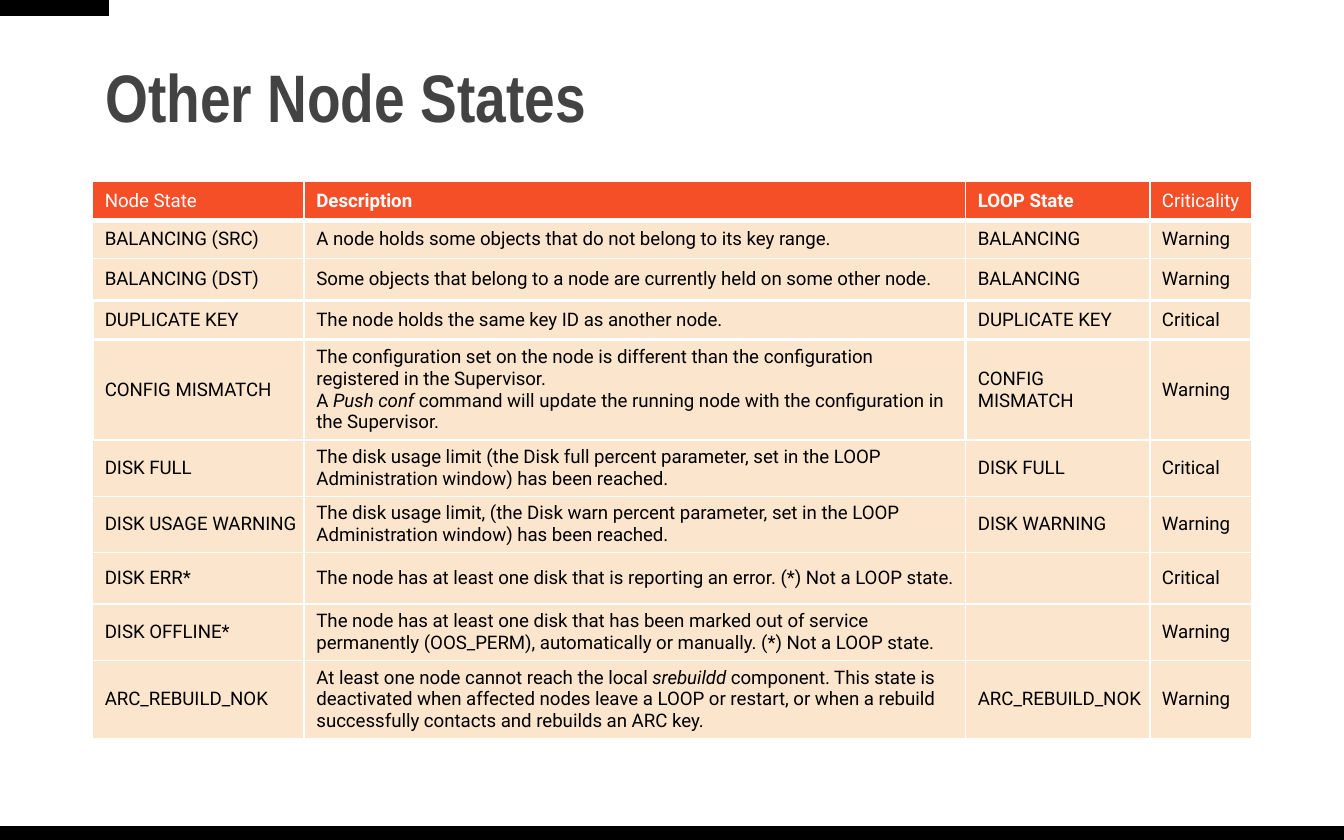
from pptx import Presentation
from pptx.dml.color import RGBColor
from pptx.enum.shapes import MSO_SHAPE
from pptx.enum.text import MSO_ANCHOR, PP_ALIGN
from pptx.oxml import parse_xml
from pptx.oxml.ns import nsdecls
from pptx.util import Cm, Pt

RECTANGLE = MSO_SHAPE.RECTANGLE
MIDDLE = MSO_ANCHOR.MIDDLE
LEFT = PP_ALIGN.LEFT

COLORS = {
    "bar": "000000",
    "title": "434343",
    "header": "F54F28",
    "header_text": "FFFFFF",
    "row": "FCE5CD",
    "row_text": "000000",
    "border": "FFFFFF",
}
COLUMN_WIDTHS = [4.0, 12.5, 3.48, 1.92]
ROW_HEIGHTS = [0.73, 0.73, 0.79, 0.74, 1.9, 1.06, 1.06, 0.97, 1.07, 1.47]
BORDERS = {
    0: {"L": 1, "R": 1, "T": 1, "B": 3},
    1: {"L": 1, "R": 1, "T": 3, "B": 1},
    2: {"L": 1, "R": 1, "T": 1, "B": 1.5},
    3: {"L": 1.5, "R": 1.5, "T": 1.5, "B": 1.5},
    4: {"L": 1.5, "R": 1.5, "T": 1.5, "B": 1.5},
    5: {"L": 1, "R": 1, "T": 1.5, "B": 1},
}
PLAIN_BORDER = {"L": 1, "R": 1, "T": 1, "B": 1}
CELL_FORMAT = {
    "margin_left": Cm(0.13),
    "margin_right": Cm(0.13),
    "margin_top": Cm(0.12),
    "margin_bottom": Cm(0.12),
    "vertical_anchor": MIDDLE,
}
BOLD_HEADINGS = ["Description", "LOOP State"]
ITALIC_MARK = "|"
STATES = [
    ["Node State", "Description", "LOOP State", "Criticality"],
    ["BALANCING (SRC)",
     "A node holds some objects that do not belong to its key range.",
     "BALANCING", "Warning"],
    ["BALANCING (DST)",
     "Some objects that belong to a node are currently held on some other node.",
     "BALANCING", "Warning"],
    ["DUPLICATE KEY", "The node holds the same key ID as another node.",
     "DUPLICATE KEY", "Critical"],
    ["CONFIG MISMATCH",
     "The configuration set on the node is different than the configuration "
     "registered in the Supervisor.\n"
     "A |Push conf |command will update the running node with the configuration "
     "in the Supervisor.",
     "CONFIG MISMATCH", "Warning"],
    ["DISK FULL",
     "The disk usage limit (the Disk full percent parameter, set in the LOOP "
     "Administration window) has been reached.",
     "DISK FULL", "Critical"],
    ["DISK USAGE WARNING",
     "The disk usage limit, (the Disk warn percent parameter, set in the LOOP "
     "Administration window) has been reached.",
     "DISK WARNING", "Warning"],
    ["DISK ERR*",
     "The node has at least one disk that is reporting an error. (*) Not a LOOP state.",
     "", "Critical"],
    ["DISK OFFLINE*",
     "The node has at least one disk that has been marked out of service permanently "
     "(OOS_PERM), automatically or manually. (*) Not a LOOP state.",
     "", "Warning"],
    ["ARC_REBUILD_NOK",
     "At least one node cannot reach the local |srebuildd| component. This state is "
     "deactivated when affected nodes leave a LOOP or restart, or when a rebuild "
     "successfully contacts and rebuilds an ARC key.",
     "ARC_REBUILD_NOK", "Warning"],
]


def add_span(para, text, color, values):
    span = para.add_run()
    span.text = text
    span.font.color.rgb = RGBColor.from_string(COLORS[color])
    for name, value in values.items():
        setattr(span.font, name, value)


def add_borders(cell, widths):
    properties = cell._tc.get_or_add_tcPr()
    for side, width in widths.items():
        properties.append(parse_xml(
            f'<a:ln{side} {nsdecls("a")} w="{Pt(width)}"><a:solidFill>'
            f'<a:srgbClr val="{COLORS["border"]}"/></a:solidFill></a:ln{side}>'))


deck = Presentation()
deck.slide_width, deck.slide_height = Cm(25.4), Cm(15.88)
page = deck.slides.add_slide(deck.slide_layouts[5])

for left, top, width, height in [(0, 15.62, 25.4, 0.26), (0, 0, 2.06, 0.3)]:
    bar = page.shapes.add_shape(RECTANGLE, Cm(left), Cm(top), Cm(width), Cm(height))
    bar.shadow.inherit = False
    bar.fill.solid()
    bar.fill.fore_color.rgb = RGBColor.from_string(COLORS["bar"])
    bar.line.fill.background()

title = page.shapes.title
title.left, title.top, title.width, title.height = Cm(1.74), Cm(0.37), Cm(21.9), Cm(3.08)
title.text_frame.vertical_anchor = MIDDLE
title.text_frame.word_wrap = True
heading = title.text_frame.paragraphs[0]
heading.alignment = LEFT
heading.line_spacing = 0.9
add_span(heading, "Other Node States", "title",
         {"name": "Arial Narrow", "size": Pt(36), "bold": True})

table = page.shapes.add_table(
    len(STATES), len(COLUMN_WIDTHS), Cm(1.75), Cm(3.43),
    Cm(sum(COLUMN_WIDTHS)), Cm(sum(ROW_HEIGHTS))).table
table.horz_banding = False
for column, width in zip(table.columns, COLUMN_WIDTHS):
    column.width = Cm(width)

for index, (row, height, texts) in enumerate(zip(table.rows, ROW_HEIGHTS, STATES)):
    row.height = Cm(height)
    kind = "row" if index else "header"
    for cell, text in zip(row.cells, texts):
        add_borders(cell, BORDERS.get(index, PLAIN_BORDER))
        cell.fill.solid()
        cell.fill.fore_color.rgb = RGBColor.from_string(COLORS[kind])
        for name, value in CELL_FORMAT.items():
            setattr(cell, name, value)
        frame = cell.text_frame
        if not text:
            frame.paragraphs[0]._p.append(
                parse_xml(f'<a:endParaRPr {nsdecls("a")} sz="1000"/>'))
            continue
        for number, line in enumerate(text.split("\n")):
            para = frame.add_paragraph() if number else frame.paragraphs[0]
            para.alignment = LEFT
            para._p.get_or_add_pPr().set("marL", str(Cm(0.1)))
            for part, piece in enumerate(line.split(ITALIC_MARK)):
                add_span(para, piece, kind + "_text", {
                    "name": "Roboto", "size": Pt(10),
                    "bold": text in BOLD_HEADINGS, "italic": part % 2 == 1})

deck.save("out.pptx")
